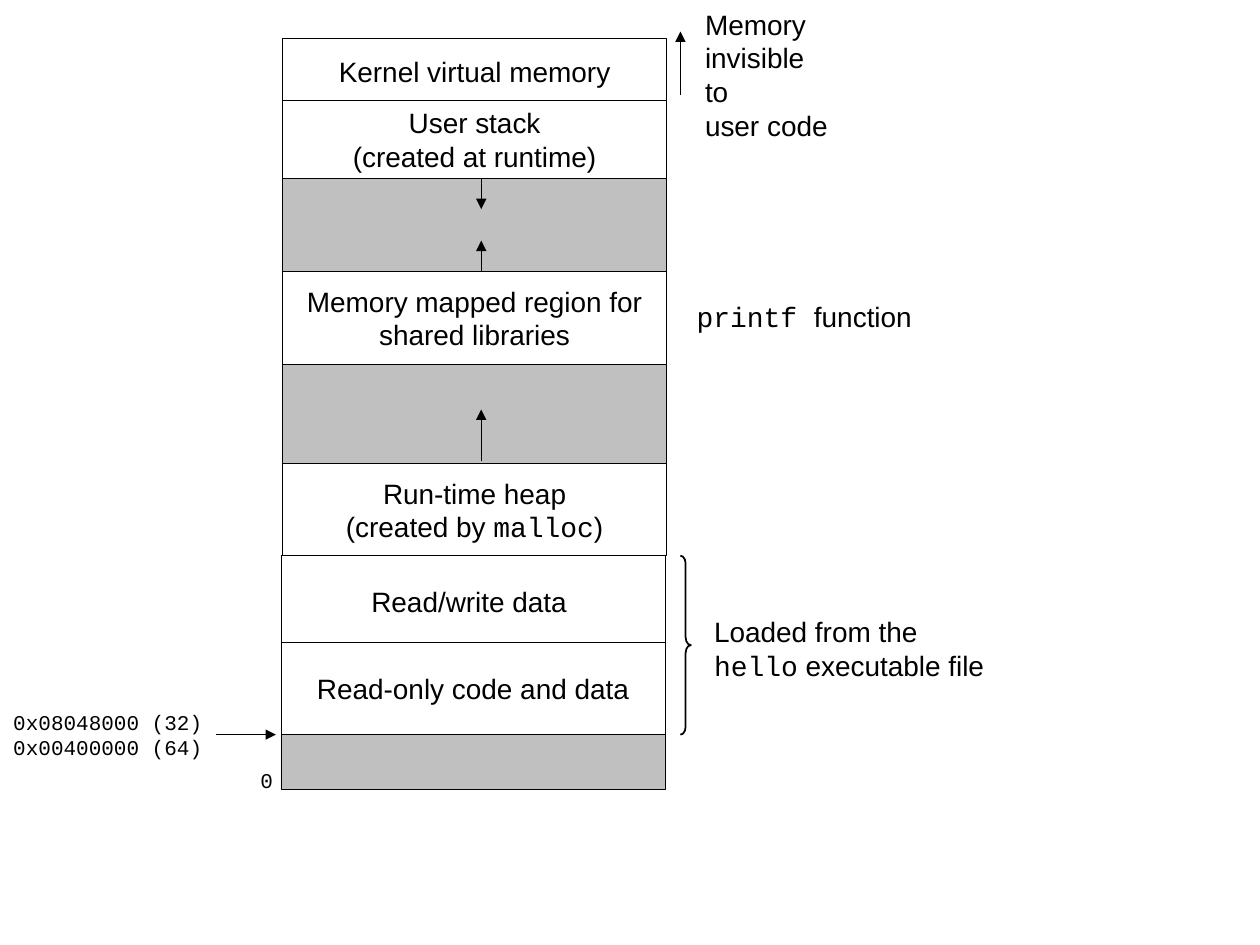
"""Builds a slide with the virtual address space of a running program."""
from dataclasses import dataclass

from lxml.etree import SubElement
from pptx import Presentation
from pptx.dml.color import RGBColor
from pptx.enum.shapes import MSO_CONNECTOR, MSO_SHAPE
from pptx.enum.text import MSO_ANCHOR, MSO_AUTO_SIZE, PP_ALIGN
from pptx.oxml.ns import qn
from pptx.util import Pt


@dataclass(frozen=True)
class Theme:
    ink: RGBColor = RGBColor(0x00, 0x00, 0x00)
    used: RGBColor = RGBColor(0xFF, 0xFF, 0xFF)
    unused: RGBColor = RGBColor(0xC0, 0xC0, 0xC0)
    sans: str = "Arial"
    mono: str = "Courier New"
    label: float = 16
    address: float = 12
    thin: float = 0.26
    bold: float = 1


theme = Theme()
SANS, MONO = theme.sans, theme.mono

REGION_WIDTH = 219.6
UPPER_LEFT, LOWER_LEFT = 161.4, 160.5
CODE_TOP, CODE_BOTTOM = 317.5, 419.8
GROWTH_X, MARGIN_X = 275, 388.8

REGIONS = [
    (UPPER_LEFT, 21.6, 38.2, [[("Kernel virtual memory", SANS)]]),
    (UPPER_LEFT, 155.2, 52.8, [[("Memory mapped region for", SANS)],
                               [("shared libraries", SANS)]]),
    (UPPER_LEFT, 208, 57, []),
    (UPPER_LEFT, 265, 52.5, [[("Run-time heap", SANS)],
                             [("(created by ", SANS), ("malloc", MONO), (")", SANS)]]),
    (UPPER_LEFT, 83.7, 71.5, []),
    (UPPER_LEFT, 57.4, 44.6, [[("User stack", SANS)],
                              [("(created at runtime)", SANS)]]),
    (LOWER_LEFT, CODE_BOTTOM, 31.2, []),
    (LOWER_LEFT, CODE_TOP, 52.6, [[("Read/write data ", SANS)]]),
    (LOWER_LEFT, 367.2, 52.6, [[("Read-only code and data", SANS)]]),
]

NOTES = [
    (141.8, 434.9, 21.6, 21.6, theme.address, [[("0", MONO)]]),
    (395.8, 0.7, 88.6, 64.8, theme.label, [[("Memory", SANS)],
                                           [("invisible to", SANS)],
                                           [("user code", SANS)]]),
    (401, 347.8, 168.5, 46, theme.label, [[("Loaded from the", SANS)],
                                          [("hello", MONO), (" executable file", SANS)]]),
    (391, 167.8, 137.5, 26.6, theme.label, [[("printf ", MONO), ("function", SANS)]]),
    (0.5, 401.8, 122.4, 36, theme.address, [[("0x08048000 (32)", MONO)],
                                            [("0x00400000 (64)", MONO)]]),
]

ARROWS = [
    (GROWTH_X, 263.7, GROWTH_X, 234, theme.thin),
    (GROWTH_X, 155.2, GROWTH_X, 137.5, theme.thin),
    (GROWTH_X, 102, GROWTH_X, 119.5, theme.thin),
    (MARGIN_X, 54, MARGIN_X, 18, theme.thin),
    (123.3, CODE_BOTTOM, 157.7, CODE_BOTTOM, theme.bold),
]


def write(frame, lines, size, alignment):
    frame.word_wrap = False
    for number, runs in enumerate(lines):
        paragraph = frame.paragraphs[0] if number == 0 else frame.add_paragraph()
        paragraph.alignment = alignment
        for words, typeface in runs:
            run = paragraph.add_run()
            run.text = words
            run.font.name = typeface
            run.font.size = Pt(size)
            run.font.color.rgb = theme.ink


def outline(item, width):
    item.line.color.rgb = theme.ink
    item.line.width = Pt(width)


def add_region(slide, left, top, height, lines):
    region = slide.shapes.add_shape(
        MSO_SHAPE.RECTANGLE, Pt(left), Pt(top), Pt(REGION_WIDTH), Pt(height))
    region.shadow.inherit = False
    region.fill.solid()
    region.fill.fore_color.rgb = theme.used if lines else theme.unused
    outline(region, theme.thin)
    region.text_frame.vertical_anchor = MSO_ANCHOR.MIDDLE
    write(region.text_frame, lines, theme.label, PP_ALIGN.CENTER)


def add_note(slide, left, top, width, height, size, lines):
    note = slide.shapes.add_textbox(Pt(left), Pt(top), Pt(width), Pt(height))
    write(note.text_frame, lines, size, PP_ALIGN.LEFT)
    note.text_frame.auto_size = MSO_AUTO_SIZE.SHAPE_TO_FIT_TEXT


def add_arrow(slide, start_x, start_y, end_x, end_y, width):
    arrow = slide.shapes.add_connector(
        MSO_CONNECTOR.STRAIGHT, Pt(start_x), Pt(start_y), Pt(end_x), Pt(end_y))
    outline(arrow, width)
    SubElement(arrow.line._get_or_add_ln(), qn("a:tailEnd"), type="triangle")
    SubElement(arrow._element.spPr, qn("a:effectLst"))


def add_brace(slide):
    brace = slide.shapes.add_shape(
        MSO_SHAPE.RIGHT_BRACE, Pt(MARGIN_X), Pt(CODE_TOP), Pt(6), Pt(CODE_BOTTOM - CODE_TOP))
    brace.adjustments[0] = 0.75
    brace.shadow.inherit = False
    brace.fill.background()
    outline(brace, theme.bold)


deck = Presentation()
deck.slide_width, deck.slide_height = Pt(720), Pt(540)
memory_map = deck.slides.add_slide(deck.slide_layouts[6])
for region_row in REGIONS:
    add_region(memory_map, *region_row)
for arrow_row in ARROWS:
    add_arrow(memory_map, *arrow_row)
add_brace(memory_map)
for note_row in NOTES:
    add_note(memory_map, *note_row)
deck.save("out.pptx")
